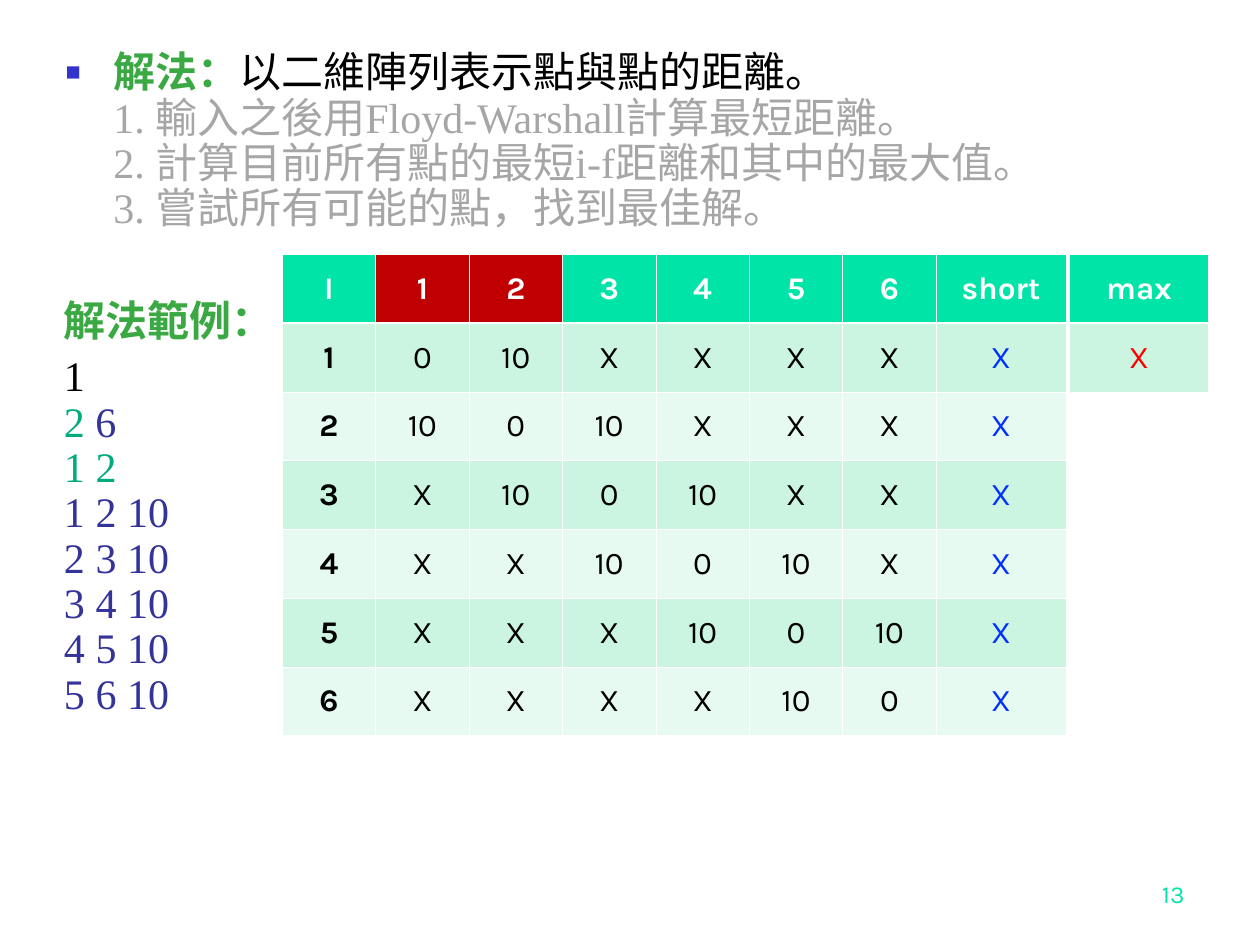
from copy import deepcopy

from lxml.etree import SubElement
from pptx import Presentation
from pptx.dml.color import RGBColor
from pptx.enum.text import MSO_ANCHOR as Anchor, MSO_AUTO_SIZE as AutoSize, PP_ALIGN as Align
from pptx.oxml import parse_xml
from pptx.oxml.ns import nsdecls, qn
from pptx.util import Inches, Pt

WHITE = RGBColor(0xFF, 0xFF, 0xFF)
BLACK = RGBColor(0x00, 0x00, 0x00)
GREEN = RGBColor(0x3B, 0xA9, 0x43)
GRAY = RGBColor(0xA6, 0xA6, 0xA6)
TEAL = RGBColor(0x00, 0xAB, 0x7E)
NAVY = RGBColor(0x33, 0x33, 0x99)
BULLET = RGBColor(0x33, 0x33, 0xCC)
MINT = RGBColor(0x00, 0xE4, 0xA8)
DARK_RED = RGBColor(0xC0, 0x00, 0x00)
RED = RGBColor(0xFF, 0x00, 0x00)
BLUE = RGBColor(0x00, 0x30, 0xFE)
BANDS = (RGBColor(0xCB, 0xF5, 0xE1), RGBColor(0xE7, 0xFA, 0xF1))

SERIF = "Times New Roman"
SANS = "Karla"


def add_text(p, text, size=24, font=SERIF, color=BLACK, bold=False):
    for i, line in enumerate(text.split("\n")):
        if i:
            p.add_line_break()
            p._p[-1].append(deepcopy(r._r.rPr))
        if line or not i:
            r = p.add_run()
            r.text = line
            r.font.size = Pt(size)
            r.font.name = font
            r.font.bold = bold
            r.font.color.rgb = color


class SlideBuilder:
    def __init__(self, prs, layout):
        self.s = prs.slides.add_slide(prs.slide_layouts[layout])
        self.thin, self.thick = Pt(0.45), Pt(1.47)

    def paragraphs(self, tf, items):
        for i, runs in enumerate(items):
            p = tf.paragraphs[0] if i == 0 else tf.add_paragraph()
            p.line_spacing = 0.9
            p.space_before = Pt(6 if i else 0)
            for text, fmt in runs:
                add_text(p, text, **fmt)

    def body(self, left, top, width, height, runs):
        title = self.s.shapes.title._element
        title.getparent().remove(title)
        sp = self.s.placeholders[1]
        sp.left, sp.top, sp.width, sp.height = map(Inches, (left, top, width, height))
        tf = sp.text_frame
        tf.auto_size = AutoSize.NONE
        tf.vertical_anchor = Anchor.TOP
        self.paragraphs(tf, [runs])
        pPr = tf.paragraphs[0]._p.get_or_add_pPr()
        pPr.set("marL", str(Inches(0.38)))
        pPr.set("indent", str(-Inches(0.38)))
        color = SubElement(pPr, qn("a:buClr"))
        SubElement(color, qn("a:srgbClr"), val=str(BULLET))
        SubElement(pPr, qn("a:buSzPct"), val="60000")
        SubElement(pPr, qn("a:buChar"), char="■")

    def text_box(self, left, top, width, height, items, align=None,
                 anchor=Anchor.TOP, auto_size=AutoSize.NONE):
        sp = self.s.shapes.add_textbox(*map(Inches, (left, top, width, height)))
        tf = sp.text_frame
        tf.word_wrap = True
        tf.auto_size = auto_size
        tf.vertical_anchor = anchor
        self.paragraphs(tf, items)
        for p in tf.paragraphs:
            p.alignment = align

    def borders(self, cell, row):
        widths = {"L": self.thin, "R": self.thin,
                  "T": self.thick if row == 1 else self.thin,
                  "B": self.thick if row == 0 else self.thin}
        tcPr = cell._tc.get_or_add_tcPr()
        for i, (side, width) in enumerate(widths.items()):
            tcPr.insert(i, parse_xml(
                f'<a:ln{side} {nsdecls("a")} w="{width}"><a:solidFill>'
                f'<a:srgbClr val="{WHITE}"/></a:solidFill></a:ln{side}>'))

    def table(self, left, top, col_widths, row_height, rows, style):
        shape = self.s.shapes.add_table(
            len(rows), len(col_widths), Inches(left), Inches(top),
            Inches(sum(col_widths)), Inches(row_height * len(rows)))
        table = shape.table
        table.first_row = table.horz_banding = False
        for col, width in zip(table.columns, col_widths):
            col.width = Inches(width)
        for i, values in enumerate(rows):
            table.rows[i].height = Inches(row_height)
            for j, value in enumerate(values):
                cell = table.cell(i, j)
                fill, color, bold = style(i, j)
                cell.fill.solid()
                cell.fill.fore_color.rgb = fill
                cell.vertical_anchor = Anchor.MIDDLE
                p = cell.text_frame.paragraphs[0]
                p.alignment = Align.CENTER
                add_text(p, value, size=18, font=SANS, color=color, bold=bold)
                self.borders(cell, i)


def distance(a, b):
    return {0: "0", 1: "10"}.get(abs(a - b), "X")


def distance_style(i, j):
    if i == 0:
        return DARK_RED if j in (1, 2) else MINT, WHITE, True
    return BANDS[(i - 1) % 2], BLUE if j == 7 else BLACK, j == 0


def max_style(i, j):
    return (BANDS[0], RED, False) if i else (MINT, WHITE, True)


def main():
    prs = Presentation()
    prs.slide_width, prs.slide_height = Inches(10), Inches(7.5)
    slide = SlideBuilder(prs, 1)
    heading = dict(color=GREEN, bold=True)

    slide.text_box(7.42, 6.76, 2.08, 0.5,
                   [[("13", dict(size=14, font=SANS, color=MINT))]],
                   align=Align.RIGHT, anchor=Anchor.BOTTOM)
    slide.body(0.42, 0.36, 8.83, 1.65, [
        ("解法：", heading),
        ("以二維陣列表示點與點的距離。\n", {}),
        ("1. 輸入之後用Floyd-Warshall計算最短距離。\n"
         "2. 計算目前所有點的最短i-f距離和其中的最大值。\n"
         "3. 嘗試所有可能的點，找到最佳解。", dict(color=GRAY)),
    ])
    slide.text_box(0.41, 2.33, 2.76, 3.42, [
        [("解法範例：", heading)],
        [("1\n", {}),
         ("2 ", dict(color=TEAL)),
         ("6\n", dict(color=NAVY)),
         ("1 2\n", dict(color=TEAL)),
         ("1 2 10\n2 3 10\n3 4 10\n4 5 10\n5 6 10", dict(color=NAVY))],
    ], auto_size=AutoSize.SHAPE_TO_FIT_TEXT)

    nodes = range(1, 7)
    rows = [["I", *map(str, nodes), "short"]]
    rows += [[str(a), *(distance(a, b) for b in nodes), "X"] for a in nodes]
    row_height = 3.82 / len(rows)
    slide.table(2.24, 2.02, [5.19 / 7] * 7 + [1.03], row_height, rows, distance_style)
    slide.table(8.49, 2.02, [1.1], row_height, [["max"], ["X"]], max_style)
    prs.save("out.pptx")


if __name__ == "__main__":
    main()
